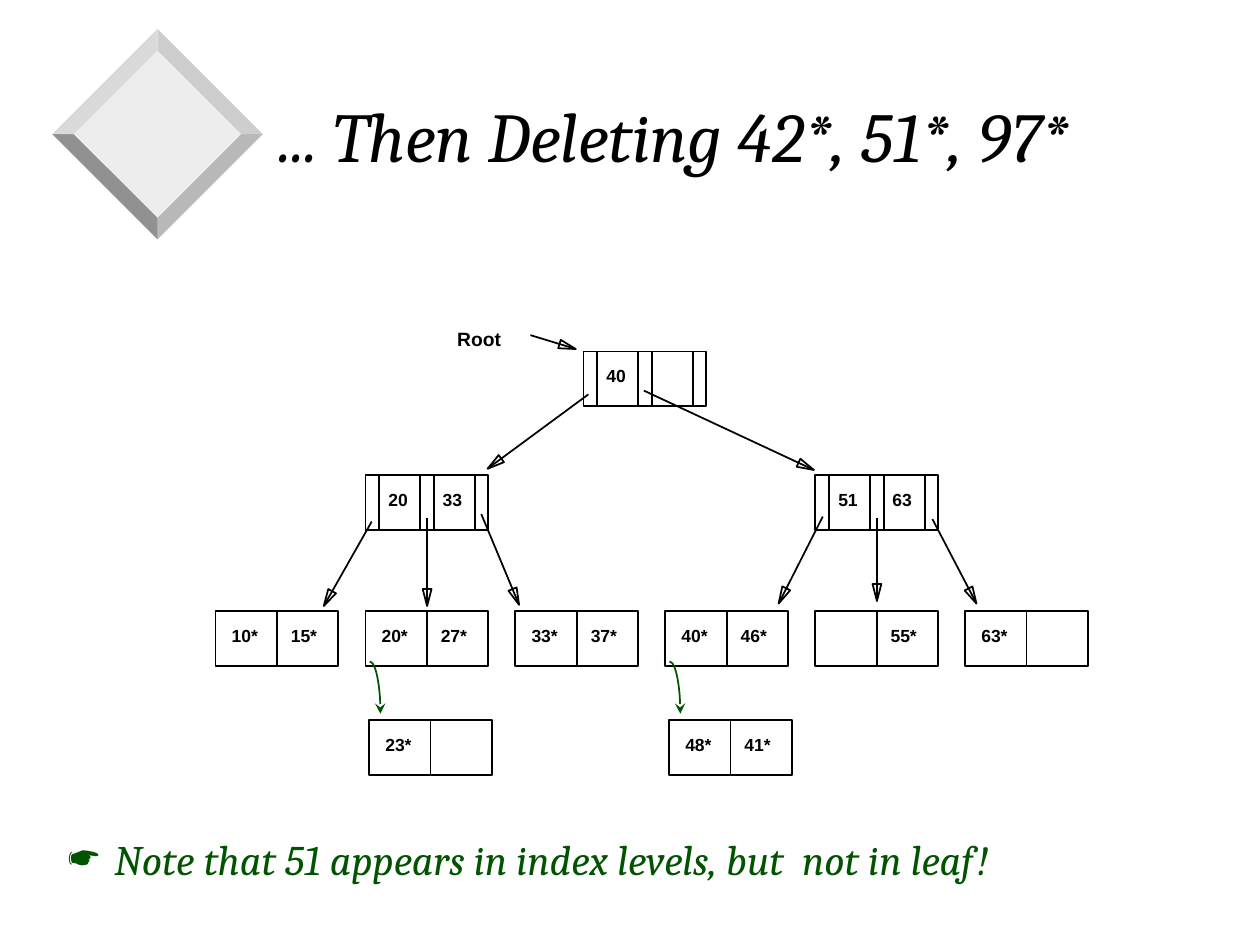
from dataclasses import dataclass
from math import hypot
from lxml.etree import SubElement as Sub
from pptx import Presentation
from pptx.dml.color import RGBColor as Rgb
from pptx.enum.shapes import MSO_CONNECTOR as Link, MSO_SHAPE as Kind
from pptx.enum.text import MSO_ANCHOR as Anchor, MSO_AUTO_SIZE as Fit, PP_ALIGN as Align
from pptx.oxml.ns import qn
from pptx.util import Inches, Pt


@dataclass(frozen=True)
class Theme:
    """Colours, type styles and line width of the deck."""
    ink: str = "000000"
    green: str = "005400"
    face: str = "EDEDED"
    edges: tuple = ("CECECE", "B9B9B9", "919191", "DADADA")
    line: float = 1
    title: tuple = ("Cambria", 40, False, True)
    note: tuple = ("Cambria", 24, False, True)
    key: tuple = ("Arial", 10, True, False)
    tag: tuple = ("Arial", 11, True, False)


class Board:
    """Draws on a slide with a grid of 100 columns by 75 rows."""

    def __init__(self, deck, theme):
        """Add a title-only slide to the deck."""
        self.unit = deck.slide_width / 100
        self.theme = theme
        self.slide = deck.slides.add_slide(deck.slide_layouts[5])
        self.shapes = self.slide.shapes

    def span(self, *cells):
        """Turn grid cells into lengths."""
        return [round(cell * self.unit) for cell in cells]

    def type(self, frame, text, style, tint, **form):
        """Write one styled paragraph into a text frame."""
        for name, value in form.items():
            setattr(frame, name, value)
        para = frame.paragraphs[0]
        para.alignment = Align.LEFT
        run = para.add_run()
        run.text = text
        for name, value in zip(("name", "size", "bold", "italic"), style):
            setattr(run.font, name, Pt(value) if name == "size" else value)
        run.font.color.rgb = Rgb.from_string(tint)
        return para

    def title(self, text, box, inset):
        """Place and fill the title."""
        head = self.shapes.title
        for name, value in zip(("left", "top", "width", "height"), self.span(*box)):
            setattr(head, name, value)
        self.type(head.text_frame, text, self.theme.title, self.theme.ink,
                  auto_size=Fit.NONE, word_wrap=True, vertical_anchor=Anchor.MIDDLE,
                  margin_left=self.span(inset)[0])

    def label(self, text, x, y, w, style):
        """Add a short unwrapped label."""
        frame = self.shapes.add_textbox(*self.span(x, y, w, 2.7)).text_frame
        self.type(frame, text, style, self.theme.ink, word_wrap=False)

    def note(self, text, mark, box, indent):
        """Add a bulleted remark."""
        frame = self.shapes.add_textbox(*self.span(*box)).text_frame
        para = self.type(frame, text, self.theme.note, self.theme.green, word_wrap=True)
        gap = self.span(indent)[0]
        props = para._p.get_or_add_pPr()
        props.set("marL", str(gap))
        props.set("indent", str(-gap))
        tint = Sub(props, qn("a:buClr"))
        Sub(tint, qn("a:srgbClr"), val=self.theme.green)
        Sub(props, qn("a:buChar"), char=mark)

    def stroke(self, shape, tint):
        """Set the outline."""
        shape.line.color.rgb = Rgb.from_string(tint)
        shape.line.width = Pt(self.theme.line)

    def shade(self, shape, fill=None):
        """Fill a shape without outline, or outline it without fill."""
        shape.shadow.inherit = False
        if fill:
            shape.fill.solid()
            shape.fill.fore_color.rgb = Rgb.from_string(fill)
            shape.line.fill.background()
        else:
            shape.fill.background()
            self.stroke(shape, self.theme.ink)

    def poly(self, points, fill=None):
        """Add a closed outline."""
        start, *rest = [self.span(*point) for point in points]
        path = self.shapes.build_freeform(*start)
        path.add_line_segments(rest, close=True)
        self.shade(path.convert_to_shape(), fill)

    def bevel(self, x, y, outer, inner):
        """Draw a bevelled diamond around a centre."""
        def ring(r):
            return [(x, y - r), (x + r, y), (x, y + r), (x - r, y)]
        rim, core = ring(outer), ring(inner)
        self.poly(core, self.theme.face)
        for i, tint in enumerate(self.theme.edges):
            j = (i + 1) % 4
            self.poly([rim[i], rim[j], core[j], core[i]], tint)

    def rule(self, *ends):
        """Add a straight line."""
        line = self.shapes.add_connector(Link.STRAIGHT, *self.span(*ends))
        self.stroke(line, self.theme.ink)
        Sub(line._element.spPr, qn("a:effectLst"))
        return line

    def arrow(self, x, y, tox, toy, long=1.35, half=0.35):
        """Add a line with a slim open head."""
        self.rule(x, y, tox, toy)
        size = hypot(tox - x, toy - y)
        dx, dy = (tox - x) / size, (toy - y) / size
        bx, by = tox - long * dx, toy - long * dy
        self.poly([(bx - half * dy, by + half * dx), (tox, toy),
                   (bx + half * dy, by - half * dx)])

    def node(self, x, y, w=9.75, h=4.35):
        """Add an empty page of the tree."""
        box = self.shapes.add_shape(Kind.RECTANGLE, *self.span(x, y, w, h))
        self.shade(box)
        return box

    def index(self, x, y, keys):
        """Add an index page with pointer slots."""
        self.node(x, y)
        for step in (1.1, 4.35, 5.45, 8.7):
            self.rule(x + step, y, x + step, y + 4.35)
        for key, step in zip(keys, (0.85, 5.15)):
            self.label(key, x + step, y + 0.6, 3.6, self.theme.key)

    def leaf(self, x, y, keys):
        """Add a data page of two entries."""
        box = self.node(x, y)
        split = self.rule(x, y, x, y)
        split.begin_connect(box, 0)
        split.end_connect(box, 2)
        for key, step in zip(keys, (0.3, 5)):
            if key:
                self.label(key, x + step, y + 0.65, 4.1, self.theme.key)

    def hook(self, x, y):
        """Add a curved arrow to an overflow page."""
        arc = self.shapes.add_shape(Kind.ARC, *self.span(x, y, 1.7, 8.3))
        self.shade(arc)
        self.stroke(arc, self.theme.green)
        Sub(arc._element.spPr.find(qn("a:ln")), qn("a:tailEnd"), type="stealth")


def main():
    """Build and save the slide."""
    deck = Presentation()
    deck.slide_width, deck.slide_height = Inches(10), Inches(7.5)
    theme = Theme()
    board = Board(deck, theme)
    board.bevel(12.5, 10.65, 8.35, 6.65)
    board.title("... Then Deleting 42*, 51*, 97*", (9.2, 4.6, 85, 12.1), 13)
    board.note("Note that 51 appears in index levels, but  not in leaf!", "☛",
               (4.4, 65.7, 85.8, 5), 3.7)

    leaves = [("10*", "15*"), ("20*", "27*"), ("33*", "37*"),
              ("40*", "46*"), ("", "55*"), ("63*", "")]
    cols = [17.1 + 11.9 * i for i in range(len(leaves))]
    for x, keys in zip(cols, leaves):
        board.leaf(x, 48.5, keys)
    for i, keys in {1: ("23*", ""), 3: ("48*", "41*")}.items():
        board.leaf(cols[i] + 0.3, 57.15, keys)
        board.hook(cols[i] - 0.5, 52.5)
    board.index(cols[1], 37.7, ("20", "33"))
    board.index(cols[4], 37.7, ("51", "63"))
    board.index(46.3, 27.9, ("40",))
    board.label("Root", 35.3, 25.5, 5.5, theme.tag)

    for ends in [(42.1, 26.6, 45.7, 27.7), (46.7, 31.3, 38.7, 37.2),
                 (51.1, 31, 64.6, 37.3), (29.5, 41.4, 25.7, 48.1),
                 (33.9, 41.1, 33.9, 48.1), (38.2, 40.8, 41.2, 48),
                 (65.3, 41, 61.8, 47.9), (69.6, 41.1, 69.6, 47.7),
                 (74, 41.2, 77.5, 47.9)]:
        board.arrow(*ends)
    deck.save("out.pptx")


if __name__ == "__main__":
    main()
